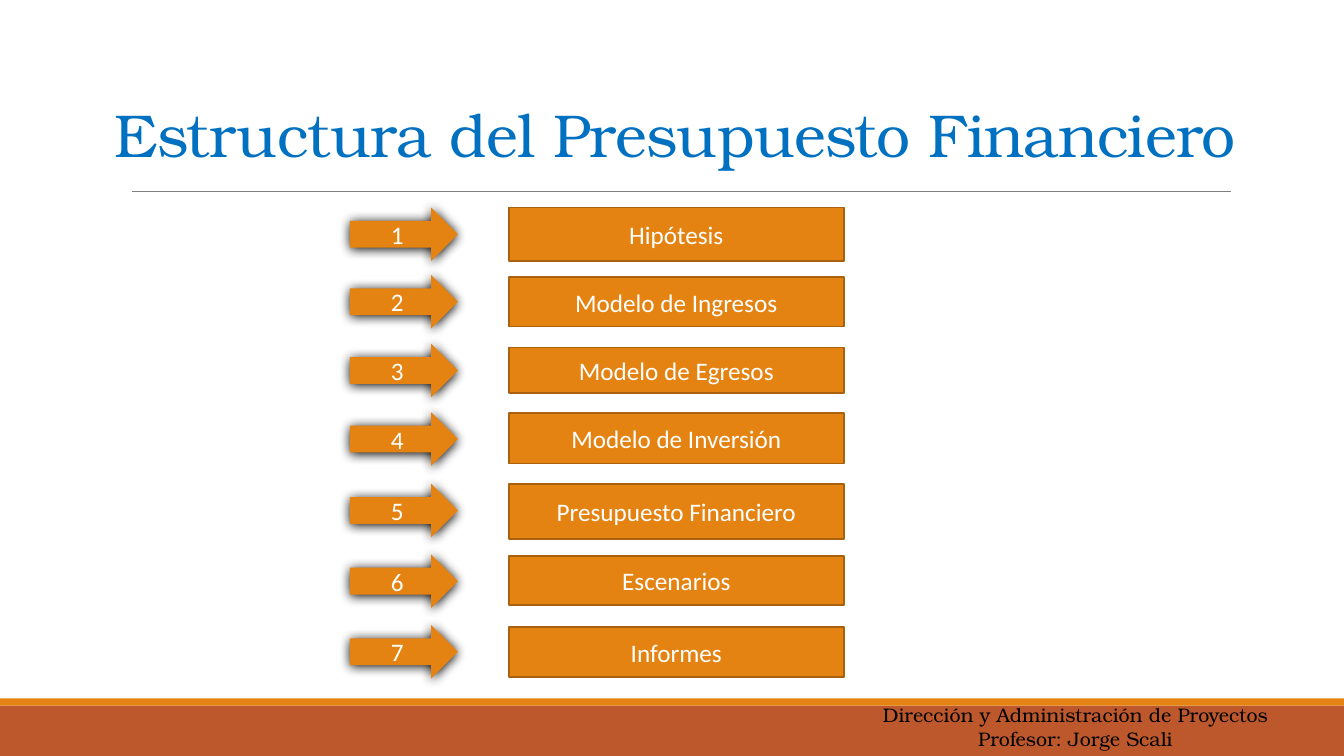
"""Build the slide that lists the seven parts of a financial budget."""
import pptx
import pptx.dml.color
import pptx.enum.shapes
import pptx.enum.text
import pptx.oxml
import pptx.oxml.ns
import pptx.util

Cm = pptx.util.Cm
Pt = pptx.util.Pt
RGBColor = pptx.dml.color.RGBColor
Shape = pptx.enum.shapes.MSO_SHAPE
Anchor = pptx.enum.text.MSO_ANCHOR

ORANGE = RGBColor(0xE4, 0x83, 0x12)
BROWN = RGBColor(0xA9, 0x61, 0x0D)
RUST = RGBColor(0xBD, 0x58, 0x2C)
GRAY = RGBColor(0x80, 0x80, 0x80)
BLUE = RGBColor(0x00, 0x70, 0xC0)
WHITE = RGBColor(0xFF, 0xFF, 0xFF)
BLACK = RGBColor(0x00, 0x00, 0x00)

SLIDE_WIDTH = 33.87
STEPS = [
    ("Hipótesis", 5.23, 1.35, 5.23),
    ("Modelo de Ingresos", 6.99, 1.24, 6.93),
    ("Modelo de Egresos", 8.76, 1.14, 8.66),
    ("Modelo de Inversión", 10.41, 1.27, 10.39),
    ("Presupuesto Financiero", 12.19, 1.4, 12.19),
    ("Escenarios", 14.02, 1.22, 13.97),
    ("Informes", 15.8, 1.27, 15.75),
]


class BudgetSlide:
    """Hold the style and the current slide, and add each kind of element."""

    body_font = "Calibri"
    heading_font = "TeX Gyre Bonum"

    def __init__(self, presentation):
        """Add a title-only slide to the presentation."""
        self.slide = presentation.slides.add_slide(presentation.slide_layouts[5])

    def set_text(self, text_frame, text, font_name, size, color):
        """Fill a text frame with centred, formatted text."""
        text_frame.text = text
        text_frame.word_wrap = True
        for paragraph in text_frame.paragraphs:
            paragraph.alignment = pptx.enum.text.PP_ALIGN.CENTER
            for run in paragraph.runs:
                run.font.name = font_name
                run.font.size = Pt(size)
                run.font.color.rgb = color

    def title(self, text, left, top, width, height):
        """Place and format the title placeholder."""
        title = self.slide.shapes.title
        title.left, title.top, title.width, title.height = map(Cm, (left, top, width, height))
        text_frame = title.text_frame
        self.set_text(text_frame, text, self.heading_font, 43.2, BLUE)
        text_frame.auto_size = pptx.enum.text.MSO_AUTO_SIZE.NONE
        text_frame.vertical_anchor = Anchor.BOTTOM
        paragraph = text_frame.paragraphs[0]
        paragraph.line_spacing = 0.85
        paragraph.runs[0].font._element.set("spc", "-50")

    def block(self, kind, left, top, width, height, text="", fill=ORANGE, outline=None):
        """Add a filled preset shape with an optional outline and label."""
        shape = self.slide.shapes.add_shape(kind, Cm(left), Cm(top), Cm(width), Cm(height))
        shape.shadow.inherit = False
        shape.fill.solid()
        shape.fill.fore_color.rgb = fill
        if outline is None:
            shape.line.fill.background()
        else:
            shape.line.color.rgb = outline
            shape.line.width = Pt(1.25)
        if text:
            self.set_text(shape.text_frame, text, self.body_font, 18, WHITE)
            shape.text_frame.vertical_anchor = Anchor.MIDDLE
        return shape

    def arrow(self, number, left, top, width, height):
        """Add a numbered arrow with a soft shadow."""
        shape = self.block(Shape.RIGHT_ARROW, left, top, width, height, str(number))
        effects = shape._element.spPr.find(pptx.oxml.ns.qn("a:effectLst"))
        effects.append(pptx.oxml.parse_xml(
            f'<a:outerShdw {pptx.oxml.ns.nsdecls("a")} blurRad="{Pt(8.5)}" dist="{Pt(1)}"'
            ' dir="5400000" algn="ctr" rotWithShape="0"><a:srgbClr val="000000"/></a:outerShdw>'))

    def rule(self, left, top, right):
        """Add a thin horizontal line."""
        line = self.slide.shapes.add_connector(
            pptx.enum.shapes.MSO_CONNECTOR.STRAIGHT, Cm(left), Cm(top), Cm(right), Cm(top))
        line.line.color.rgb = GRAY
        line.line.width = Pt(0.5)
        line._element.spPr.append(pptx.oxml.parse_xml(
            f'<a:effectLst {pptx.oxml.ns.nsdecls("a")}/>'))

    def caption(self, text, left, top, width, height):
        """Add a centred text box."""
        box = self.slide.shapes.add_textbox(Cm(left), Cm(top), Cm(width), Cm(height))
        self.set_text(box.text_frame, text, self.heading_font, 14, BLACK)


def main():
    """Create and save the presentation."""
    presentation = pptx.Presentation()
    presentation.slide_width = Cm(SLIDE_WIDTH)
    presentation.slide_height = Cm(19.05)
    budget = BudgetSlide(presentation)
    budget.block(Shape.RECTANGLE, 0, 17.78, SLIDE_WIDTH, 1.27, fill=RUST)
    budget.block(Shape.RECTANGLE, 0, 17.6, SLIDE_WIDTH, 0.18)
    budget.rule(3.33, 4.83, 31.01)
    budget.title("Estructura del Presupuesto Financiero", 2.41, 1.63, 29.21, 2.79)
    for number, (name, top, height, arrow_top) in enumerate(STEPS, start=1):
        budget.block(Shape.RECTANGLE, 12.82, top, 8.45, height, name, outline=BROWN)
        budget.arrow(number, 8.82, arrow_top, 2.72, 1.35)
    budget.caption("Dirección y Administración de Proyectos\nProfesor: Jorge Scali",
                   20.35, 17.6, 13.51, 1.45)
    presentation.save("out.pptx")


if __name__ == "__main__":
    main()
